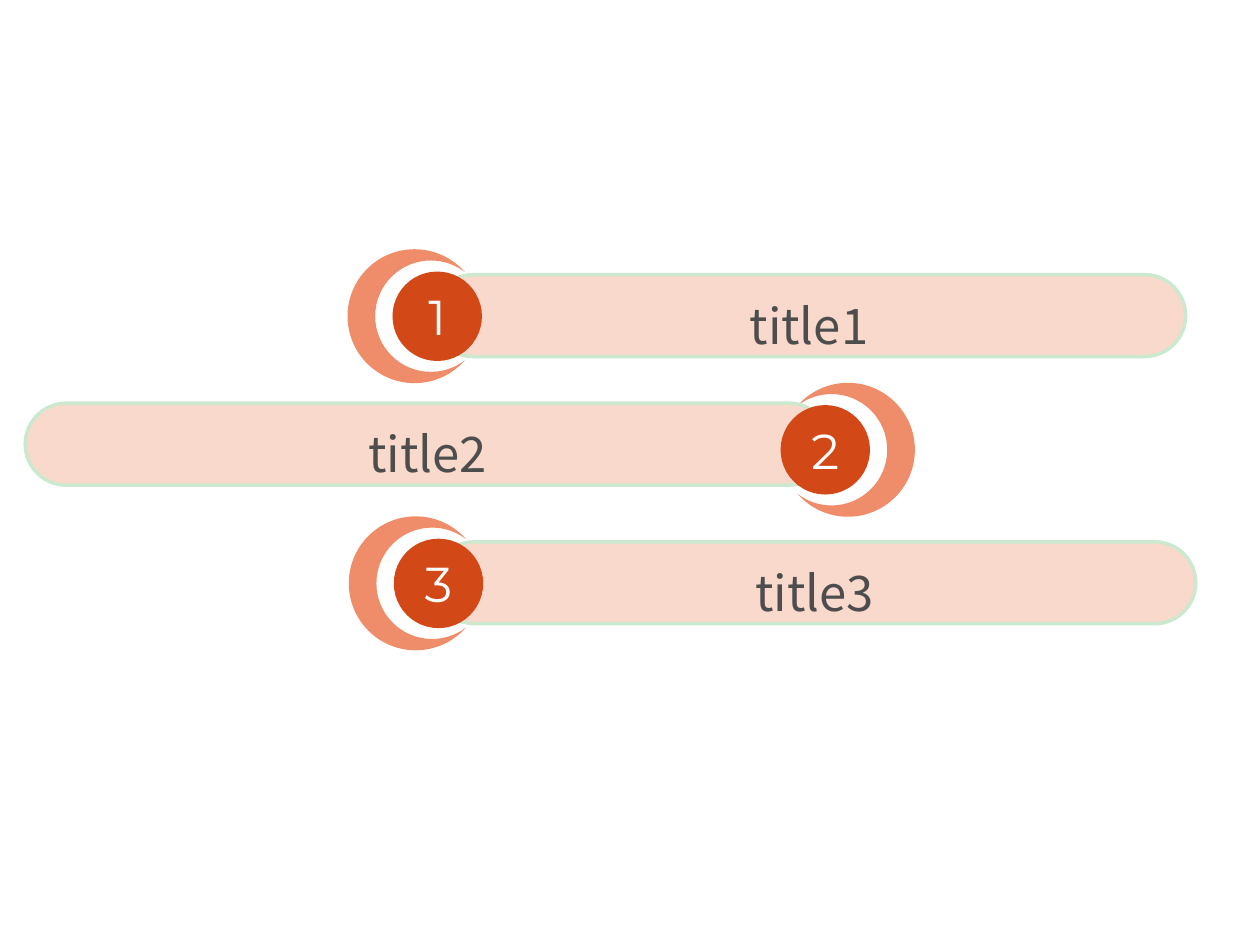
import math
from pptx import Presentation
from pptx.dml.color import RGBColor
from pptx.enum import shapes, text
from pptx.oxml import ns, xmlchemy
from pptx.util import Inches, Pt

COLORS = {"crescent": "EF8C6A", "bar": "FAD9CD", "border": "CCE8CF",
          "badge": "D34817", "title": "4D4D4D", "number": "FFFFFF"}
ROWS = [
    {"number": "3", "title": "title3", "center": (3.30, 4.63), "side": 1, "bar": (3.44, 4.30, 6.05)},
    {"number": "1", "title": "title1", "center": (3.29, 2.51), "side": 1, "bar": (3.43, 2.18, 5.98)},
    {"number": "2", "title": "title2", "center": (6.73, 3.57), "side": -1, "bar": (0.20, 3.20, 6.39)},
]
BAR_HEIGHT = 0.65
BADGE_SIZE, BADGE_SHIFT = 0.71, 0.18
INNER_SHIFT = 0.13
TIP_X, TIP_Y = 0.40, 0.35


def color(name):
    return RGBColor.from_string(COLORS[name])


def paint(shape, fill):
    shape.shadow.inherit = False
    shape.fill.solid()
    shape.fill.fore_color.rgb = color(fill)
    shape.line.fill.background()


def write(shape, content, font, ink):
    frame = shape.text_frame
    frame.text = content
    frame.vertical_anchor = text.MSO_ANCHOR.MIDDLE
    paragraph = frame.paragraphs[0]
    paragraph.alignment = text.PP_ALIGN.CENTER
    run = paragraph.runs[0]
    run.font.name = font
    run.font.size = Pt(28)
    run.font.color.rgb = color(ink)
    return paragraph


def arc(center, side, shift):
    radius = math.hypot(TIP_X - shift, TIP_Y)
    tip = math.atan2(TIP_Y, TIP_X - shift)
    angles = [tip, math.pi / 2, math.pi, 1.5 * math.pi, 2 * math.pi - tip]

    def place(angle, pull=0):
        x = shift + radius * (math.cos(angle) - pull * math.sin(angle))
        y = radius * (math.sin(angle) + pull * math.cos(angle))
        return Inches(center[0] + side * x), Inches(center[1] + y)

    points = [place(tip)]
    for start, end in zip(angles, angles[1:]):
        pull = 4 / 3 * math.tan((end - start) / 4)
        points += [place(start, pull), place(end, -pull), place(end)]
    return points


def curve_outline(shape):
    lines = list(shape.element.iter(ns.qn("a:lnTo")))
    for first in range(0, len(lines), 3):
        curve = xmlchemy.OxmlElement("a:cubicBezTo")
        lines[first].addprevious(curve)
        for line in lines[first:first + 3]:
            curve.append(line[0])
            line.getparent().remove(line)


def add_crescent(slide, center, side):
    outer = arc(center, side, 0)
    inner = arc(center, side, INNER_SHIFT)[::-1]
    builder = slide.shapes.build_freeform(*outer[0], scale=1.0)
    builder.add_line_segments(outer[1:] + inner[1:], close=True)
    crescent = builder.convert_to_shape()
    curve_outline(crescent)
    paint(crescent, "crescent")


def add_bar(slide, left, top, width, title):
    bar = slide.shapes.add_shape(shapes.MSO_SHAPE.ROUNDED_RECTANGLE, Inches(left), Inches(top),
                                 Inches(width), Inches(BAR_HEIGHT))
    bar.adjustments[0] = 0.5
    paint(bar, "bar")
    bar.line.color.rgb = color("border")
    bar.line.width = Pt(2)
    write(bar, title, "Noto Sans CJK SC", "title").line_spacing = 1.3


def add_badge(slide, center, side, number):
    left = center[0] + side * BADGE_SHIFT - BADGE_SIZE / 2
    badge = slide.shapes.add_shape(shapes.MSO_SHAPE.OVAL, Inches(left),
                                   Inches(center[1] - BADGE_SIZE / 2),
                                   Inches(BADGE_SIZE), Inches(BADGE_SIZE))
    paint(badge, "badge")
    write(badge, number, "Montserrat", "number")


presentation = Presentation()
presentation.slide_width, presentation.slide_height = Inches(10), Inches(7.5)
slide = presentation.slides.add_slide(presentation.slide_layouts[6])
for row in ROWS:
    add_crescent(slide, row["center"], row["side"])
    add_bar(slide, *row["bar"], row["title"])
    add_badge(slide, row["center"], row["side"], row["number"])
presentation.save("out.pptx")
